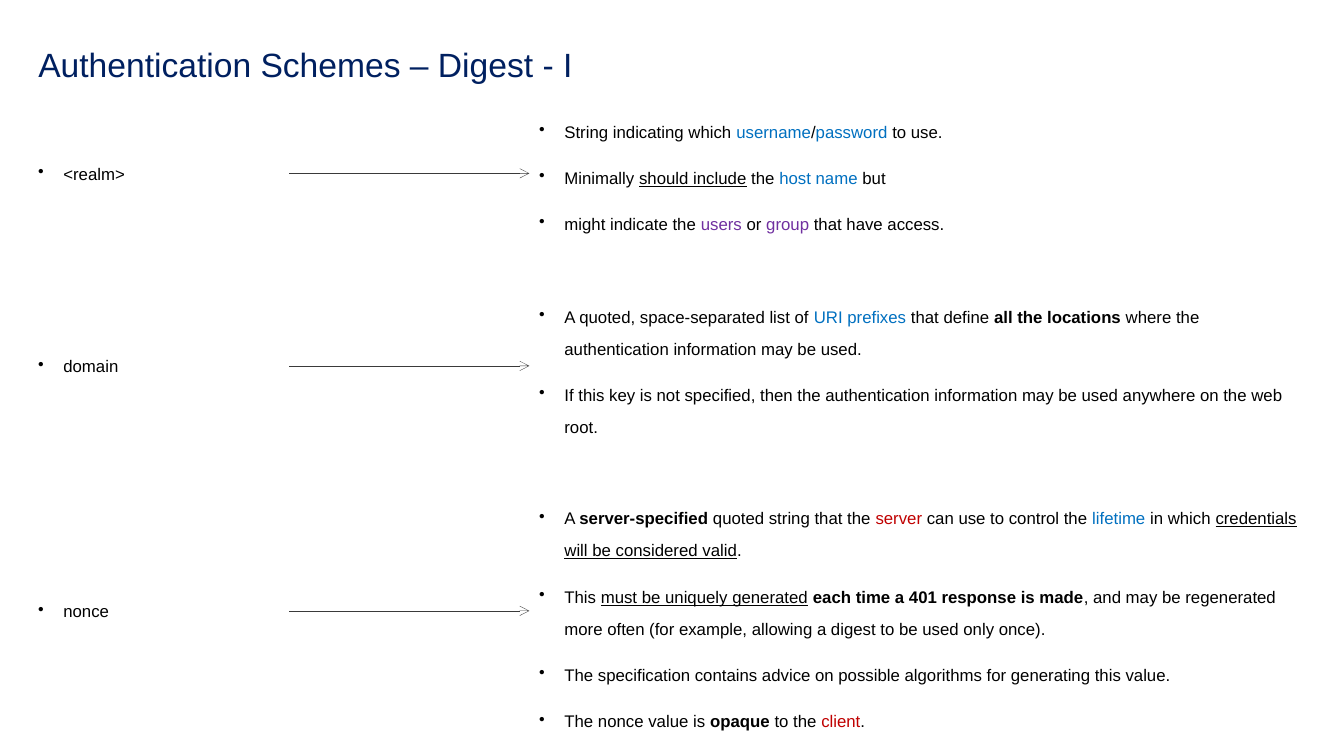
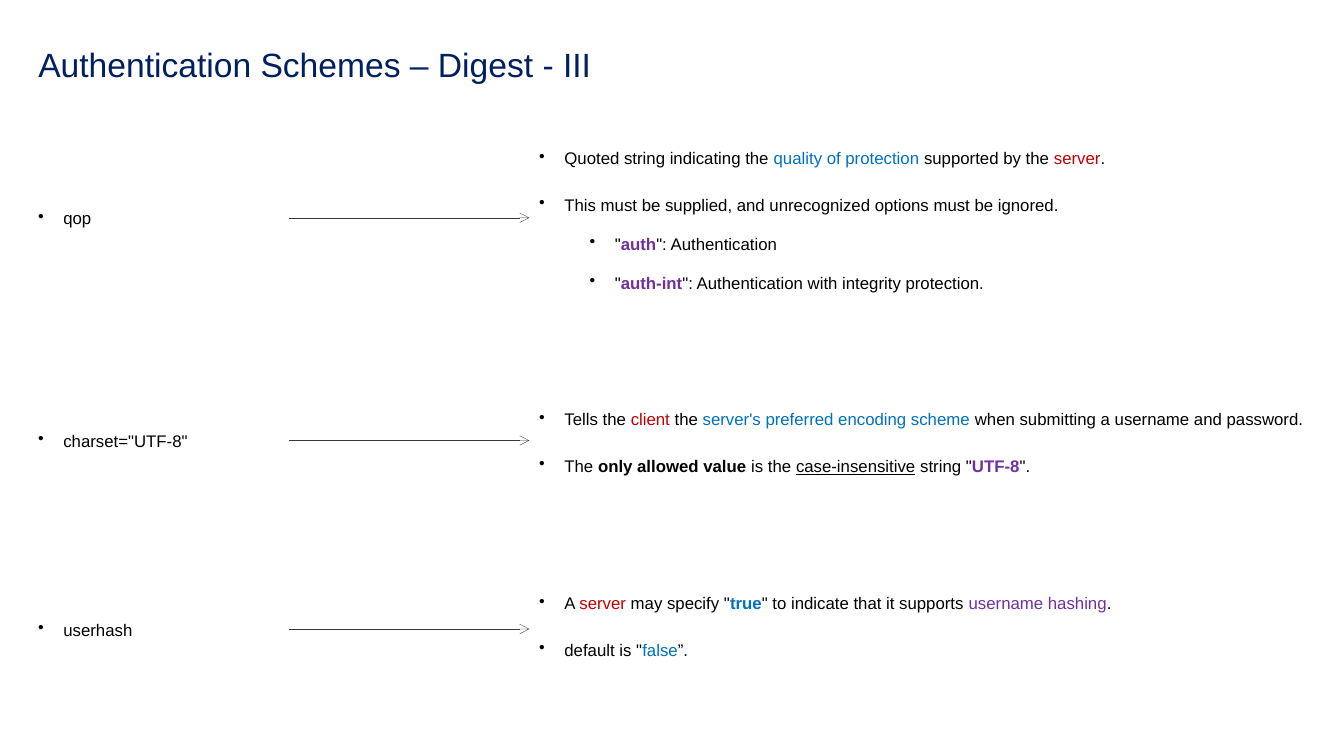
"""Build two slides that explain the fields of digest authentication."""
from pptx import Presentation, util as u
from pptx.dml.color import RGBColor
from pptx.enum import shapes, text
from pptx.oxml.ns import qn
from lxml import etree

INK, NAVY, LINE = "000000", "002060", "3A3A3A"
HUES = {"b": "0070C0", "r": "C00000", "v": "7030A0"}
WIDE, HIGH = 13.33, 7.5
LEFT, MID, RIGHT = 0.28, 2.87, 5.25
ROW = 0.53

# In the texts, marked parts stand between bars and start with style letters:
# b blue, r red, v violet, s strong, u underlined; ">" opens a sub-item.
DECK = [
    ("Authentication Schemes – Digest - I", [
        ("<realm>", 1.72, 1.37, [
            "String indicating which |b username|/|b password| to use.",
            "Minimally |u should include| the |b host name| but",
            "might indicate the |v users| or |v group| that have access."]),
        ("domain", 3.63, 1.52, [
            "A quoted, space-separated list of |b URI prefixes| that define "
            "|s all the locations| where the authentication information may be used.",
            "If this key is not specified, then the authentication information "
            "may be used anywhere on the web root."]),
        ("nonce", 6.06, 2.38, [
            "A |s server-specified| quoted string that the |r server| can use to control "
            "the |b lifetime| in which |u credentials will be considered valid|.",
            "This |u must be uniquely generated| |s each time a 401 response is made|, and "
            "may be regenerated more often (for example, allowing a digest to be used only once).",
            "The specification contains advice on possible algorithms for generating this value.",
            "The nonce value is |s opaque| to the |r client|."])]),
    ("Authentication Schemes – Digest - III", [
        ("qop", 2.16, 1.72, [
            "Quoted string indicating the |b quality of protection| supported by the |r server|.",
            "This must be supplied, and unrecognized options must be ignored.",
            '>"|vs auth|": Authentication',
            '>"|vs auth-int|": Authentication with integrity protection.']),
        ('charset="UTF-8"', 4.37, 0.96, [
            "Tells the |r client| the |b server's preferred encoding scheme| "
            "when submitting a username and password.",
            'The |s only allowed value |is the |u case-insensitive| string "|vs UTF-8|".']),
        ("userhash", 6.24, 1.05, [
            'A |r server| may specify "|bs true|" to indicate that it supports '
            "|v username hashing|.",
            'default is "|b false|”.'])]),
]


def color(hue):
    return RGBColor.from_string(hue)


def write(slide, x, y, w, h, items):
    box = slide.shapes.add_textbox(*map(u.Inches, (x, y, w, h)))
    frame = box.text_frame
    frame.word_wrap = True
    for i, item in enumerate(items):
        para = frame.paragraphs[0] if i == 0 else frame.add_paragraph()
        sub = item.startswith(">")
        para.level = int(sub)
        para.line_spacing = 1.6
        para.space_before = u.Pt(5 if sub else 10)
        props = para._p.get_or_add_pPr()
        props.set("marL", str(u.Inches(0.75 if sub else 0.25)))
        props.set("indent", str(u.Inches(-0.25)))
        etree.SubElement(props, qn("a:buChar")).set("char", "•")
        for n, part in enumerate(item.removeprefix(">").split("|")):
            marks, words = part.split(" ", 1) if n % 2 else ("", part)
            run = para.add_run()
            run.text = words
            font = run.font
            font.name, font.size = "Arial", u.Pt(12)
            font.color.rgb = color(HUES.get(marks[:1], INK))
            if "s" in marks:
                font.bold = True
            if "u" in marks:
                font.underline = True


deck = Presentation()
deck.slide_width, deck.slide_height = u.Inches(WIDE), u.Inches(HIGH)
plan = deck.slide_layouts[5]
head = plan.placeholders[0]
head.left, head.top, head.width, head.height = map(u.Inches, (LEFT, 0.4, 12.86, ROW))

for name, rows in DECK:
    slide = deck.slides.add_slide(plan)
    title = slide.shapes.title
    title.text = name
    title.text_frame.vertical_anchor = text.MSO_ANCHOR.MIDDLE
    para = title.text_frame.paragraphs[0]
    para.alignment = text.PP_ALIGN.LEFT
    para.line_spacing = 0.9
    font = para.runs[0].font
    font.name, font.size = "Arial", u.Pt(24)
    font.color.rgb = color(NAVY)

    for label, y, tall, items in rows:
        write(slide, LEFT, y - ROW / 2, MID - LEFT, ROW, [label])
        write(slide, RIGHT, y - tall / 2, 7.8, tall, items)
        arrow = slide.shapes.add_connector(
            shapes.MSO_CONNECTOR.STRAIGHT, *map(u.Inches, (MID, y, RIGHT, y)))
        arrow.line.color.rgb = color(LINE)
        arrow.line.width = u.Pt(0.25)
        etree.SubElement(arrow.line._get_or_add_ln(), qn("a:tailEnd")).set("type", "arrow")
        etree.SubElement(arrow._element.spPr, qn("a:effectLst"))

deck.save("out.pptx")
